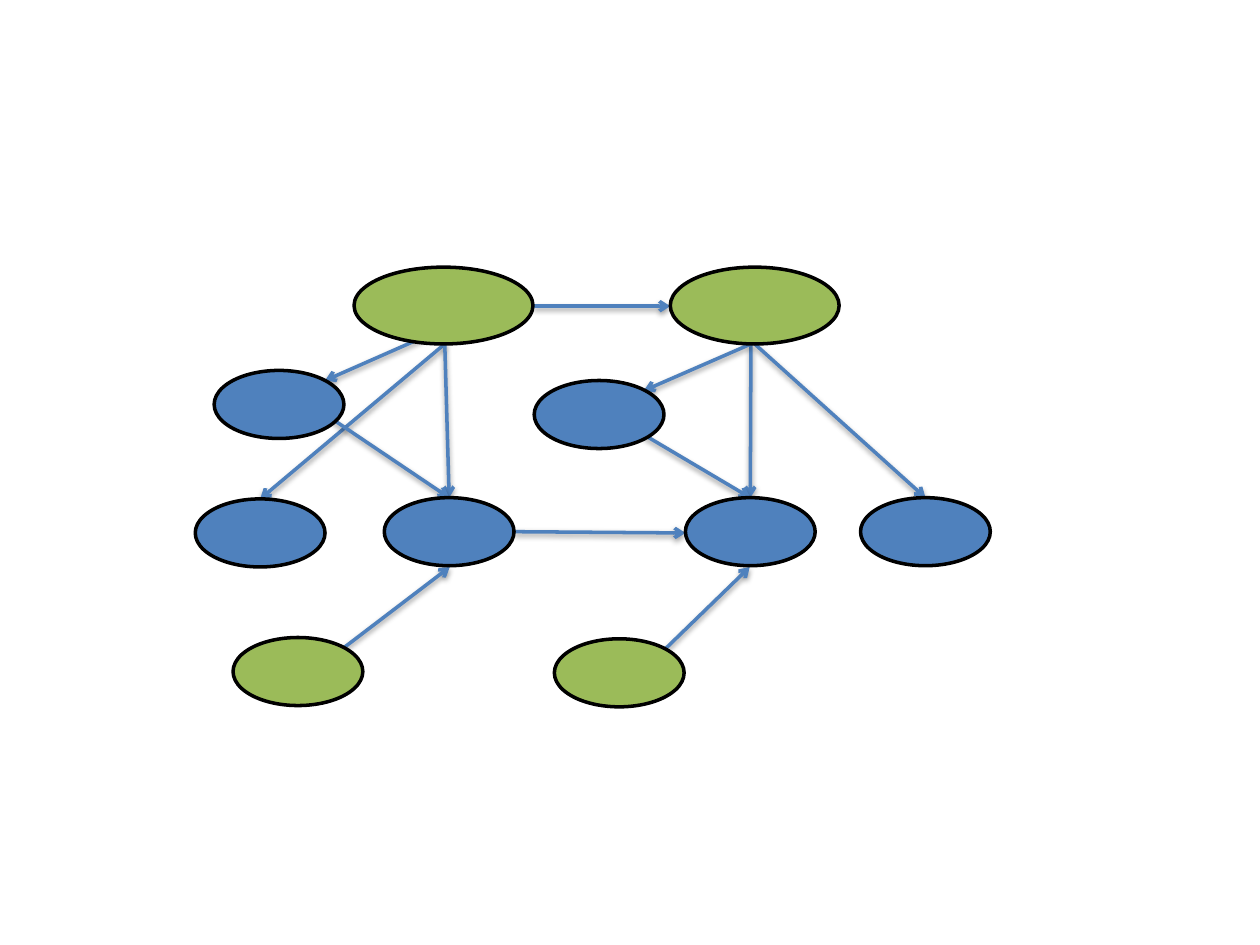
from lxml.etree import SubElement
from pptx import Presentation
from pptx.dml.color import RGBColor
from pptx.enum.shapes import MSO_CONNECTOR, MSO_SHAPE
from pptx.oxml import parse_xml
from pptx.oxml.ns import nsdecls, qn
from pptx.util import Inches, Pt

COLORS = {"blue": "4F81BD", "green": "9BBB59", "outline": "000000", "shadow": "000000"}
SMALL = (1.03, 0.54)
TOP_SITE = 0

deck = Presentation()
deck.slide_width, deck.slide_height = Inches(10), Inches(7.5)
page = deck.slides.add_slide(deck.slide_layouts[6])

# Nodes of the graph: left, top, size, colour
nodes = {
    "middle left": (3.05, 3.95, SMALL, "blue"),
    "middle right": (5.44, 3.95, SMALL, "blue"),
    "top right": (5.32, 2.12, (1.34, 0.61), "green"),
    "upper right": (4.24, 3.02, SMALL, "blue"),
    "bottom right": (4.40, 5.07, SMALL, "green"),
    "upper left": (1.70, 2.94, SMALL, "blue"),
    "top left": (2.81, 2.12, (1.42, 0.61), "green"),
    "bottom left": (1.85, 5.06, SMALL, "green"),
    "outer right": (6.83, 3.95, SMALL, "blue"),
    "outer left": (1.55, 3.96, SMALL, "blue"),
}
ellipses = {}
for name, (left, top, (width, height), color) in nodes.items():
    ellipse = page.shapes.add_shape(
        MSO_SHAPE.OVAL, Inches(left), Inches(top), Inches(width), Inches(height))
    ellipse.shadow.inherit = False
    ellipse.fill.solid()
    ellipse.fill.fore_color.rgb = RGBColor.from_string(COLORS[color])
    ellipse.line.color.rgb = RGBColor.from_string(COLORS["outline"])
    ellipse.line.width = Pt(2)
    ellipses[name] = ellipse

# Arrows: start, end, and the node whose top the arrow meets
arrows = [
    ((5.99, 2.73), (7.34, 3.95), "outer right"),
    ((3.53, 2.73), (2.07, 3.96), "outer left"),
    ((5.28, 5.15), (5.95, 4.50), None),
    ((4.08, 4.22), (5.44, 4.23), None),
    ((4.24, 2.43), (5.32, 2.43), None),
    ((3.53, 2.73), (3.57, 3.95), "middle left"),
    ((5.96, 2.73), (5.95, 3.95), "middle right"),
    ((5.96, 2.73), (5.11, 3.10), None),
    ((5.11, 3.45), (5.95, 3.95), "middle right"),
    ((3.42, 2.65), (2.58, 3.02), None),
    ((2.48, 3.22), (3.57, 3.95), "middle left"),
    ((2.73, 5.14), (3.57, 4.50), None),
]
SHADOW = (
    f'<a:effectLst {nsdecls("a")}>'
    '<a:outerShdw blurRad="40000" dist="20000" dir="5400000" rotWithShape="0">'
    f'<a:srgbClr val="{COLORS["shadow"]}"><a:alpha val="38000"/></a:srgbClr>'
    '</a:outerShdw></a:effectLst>'
)
first_ellipse = ellipses["middle left"]
for start, end, target in arrows:
    arrow = page.shapes.add_connector(
        MSO_CONNECTOR.STRAIGHT, *(Inches(value) for value in start + end))
    if target:
        arrow.end_connect(ellipses[target], TOP_SITE)
    arrow.line.color.rgb = RGBColor.from_string(COLORS["blue"])
    arrow.line.width = Pt(2)
    SubElement(arrow.line._get_or_add_ln(), qn("a:tailEnd"), type="arrow")
    arrow._element.spPr.append(parse_xml(SHADOW))
    # Arrows lie behind the nodes
    first_ellipse._element.addprevious(arrow._element)

deck.save("out.pptx")
